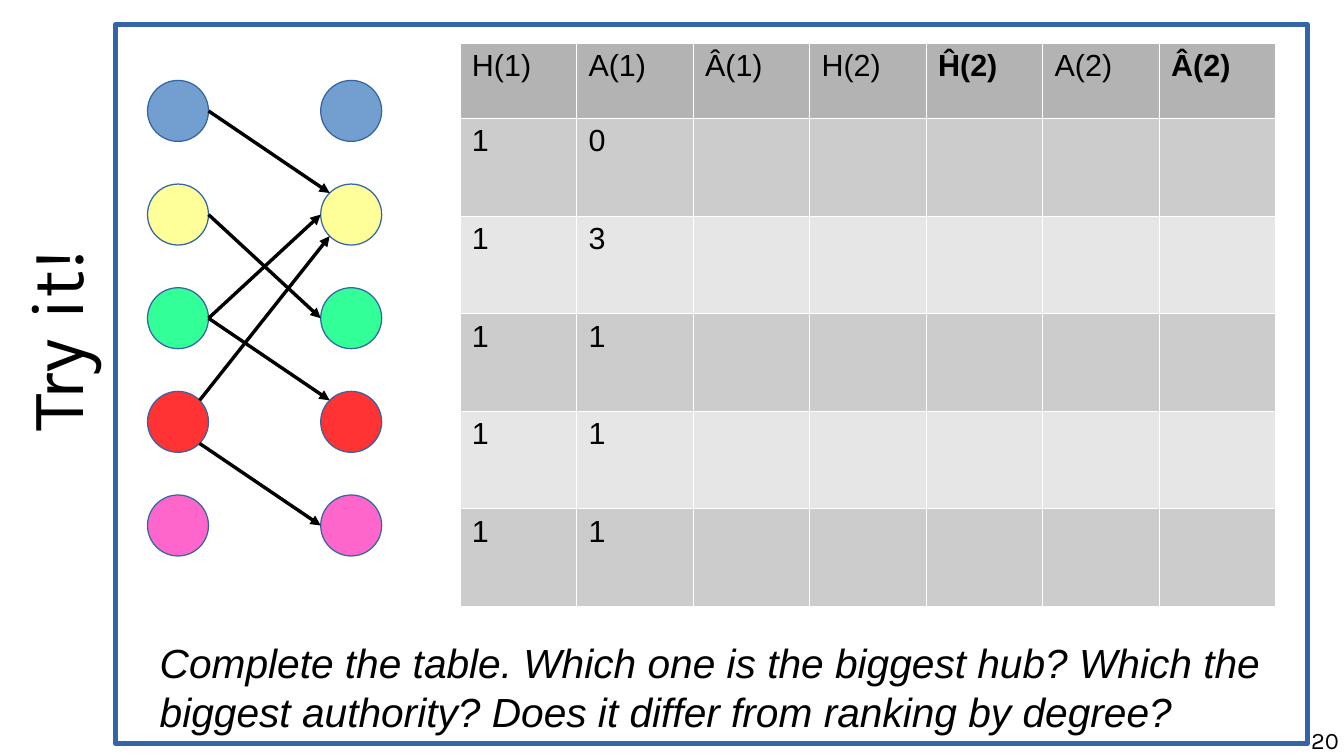
from math import cos, radians, sin

from lxml import etree
from pptx import Presentation
from pptx.dml.color import RGBColor
from pptx.enum.shapes import MSO_CONNECTOR, MSO_SHAPE
from pptx.enum.text import MSO_ANCHOR, PP_ALIGN
from pptx.oxml.ns import qn
from pptx.util import Inches, Pt

STRAIGHT = MSO_CONNECTOR.STRAIGHT
OVAL, RECTANGLE = MSO_SHAPE.OVAL, MSO_SHAPE.RECTANGLE
TOP, MIDDLE, BOTTOM = MSO_ANCHOR.TOP, MSO_ANCHOR.MIDDLE, MSO_ANCHOR.BOTTOM
LEFT, CENTER, RIGHT = PP_ALIGN.LEFT, PP_ALIGN.CENTER, PP_ALIGN.RIGHT

BLACK, WHITE, BLUE = "000000", "FFFFFF", "3465A4"
HEADER_FILL, BAND_FILLS = "B3B3B3", ("CCCCCC", "E6E6E6")

# Node grid: hubs in column 0, authorities in column 1
NODE_COLORS = ["729FCF", "FFFF99", "33FF99", "FF3333", "FF66CC"]
NODE_LEFT, NODE_TOP, NODE_SIZE = 1.21, 0.66, 0.5
COLUMN_STEP, ROW_STEP = 1.42, 0.85

# Links: hub row, angle on hub, authority row, angle on authority
# (degrees clockwise from the right)
LINKS = [
    (0, 0, 1, 225),
    (2, 0, 1, 180),
    (2, 0, 3, 225),
    (3, 45, 4, 180),
    (1, 0, 2, 180),
    (3, -45, 1, 135),
]

HEADERS = ["H(1)", "A(1)", "Â(1)", "H(2)", "Ĥ(2)", "A(2)", "Â(2)"]
BOLD_HEADERS = {"Ĥ(2)", "Â(2)"}
SCORES = [("1", "0"), ("1", "3"), ("1", "1"), ("1", "1"), ("1", "1")]
QUESTION = ("Complete the table. Which one is the biggest hub? Which the "
            "biggest authority? Does it differ from ranking by degree?")


def color(hex_code):
    return RGBColor.from_string(hex_code)


def box(left, top, width, height):
    return [Inches(length) for length in (left, top, width, height)]


def write(frame, text, size, font, align=LEFT, anchor=TOP, insets=(0, 0, 0, 0),
          italic=False):
    frame.word_wrap = True
    frame.vertical_anchor = anchor
    (frame.margin_left, frame.margin_top,
     frame.margin_right, frame.margin_bottom) = map(Inches, insets)
    frame.text = text
    paragraph = frame.paragraphs[0]
    paragraph.alignment = align
    style(paragraph.runs[0], size, font, italic=italic)


def style(run, size, font, bold=False, italic=False):
    run.font.size = Pt(size)
    run.font.name = font
    run.font.bold = bold
    run.font.italic = italic
    run.font.color.rgb = color(BLACK)


def add_label(slide, place, text, size, align, anchor=TOP, rotation=0):
    label = slide.shapes.add_textbox(*box(*place))
    label.rotation = rotation
    write(label.text_frame, text, size, "Karla", align, anchor)


def add_outlined(slide, kind, place, line_width, fill=None):
    shape = slide.shapes.add_shape(kind, *box(*place))
    shape.shadow.inherit = False
    if fill:
        shape.fill.solid()
        shape.fill.fore_color.rgb = color(fill)
    else:
        shape.fill.background()
    shape.line.color.rgb = color(BLUE)
    shape.line.width = Pt(line_width)
    return shape


def add_node(slide, column, row):
    place = (NODE_LEFT + column * COLUMN_STEP, NODE_TOP + row * ROW_STEP,
             NODE_SIZE, NODE_SIZE)
    add_outlined(slide, OVAL, place, 0, NODE_COLORS[row])


def rim_point(column, row, angle):
    radius = NODE_SIZE / 2
    x = NODE_LEFT + column * COLUMN_STEP + radius * (1 + cos(radians(angle)))
    y = NODE_TOP + row * ROW_STEP + radius * (1 + sin(radians(angle)))
    return Inches(x), Inches(y)


def add_link(slide, hub, hub_angle, authority, authority_angle):
    link = slide.shapes.add_connector(
        STRAIGHT, *rim_point(0, hub, hub_angle),
        *rim_point(1, authority, authority_angle))
    link.line.color.rgb = color(BLACK)
    link.line.width = Pt(0)
    etree.SubElement(link.line._get_or_add_ln(), qn("a:tailEnd"), type="triangle")
    etree.SubElement(link._element.spPr, qn("a:effectLst"))


def format_cell(cell, text, fill, bold):
    # Borders come before the fill in the cell properties
    properties = cell._tc.get_or_add_tcPr()
    for side in ("lnL", "lnR", "lnT", "lnB"):
        border = etree.SubElement(properties, qn(f"a:{side}"), w="762")
        solid = etree.SubElement(border, qn("a:solidFill"))
        etree.SubElement(solid, qn("a:srgbClr"), val=WHITE)
    cell.fill.solid()
    cell.fill.fore_color.rgb = color(fill)
    if text:
        cell.text = text
        style(cell.text_frame.paragraphs[0].runs[0], 18, "Arial", bold)


def add_score_table(slide):
    rows = [HEADERS] + [list(pair) + [""] * (len(HEADERS) - 2) for pair in SCORES]
    table = slide.shapes.add_table(
        len(rows), len(HEADERS), *box(3.77, 0.35, 6.69, 4.62)).table
    for column in table.columns:
        column.width = Inches(6.69 / len(HEADERS))
    for index, texts in enumerate(rows):
        table.rows[index].height = Inches(0.8 if index else 0.62)
        fill = BAND_FILLS[(index - 1) % 2] if index else HEADER_FILL
        for position, text in enumerate(texts):
            format_cell(table.cell(index, position), text, fill,
                        text in BOLD_HEADERS)


def main():
    presentation = Presentation()
    presentation.slide_width, presentation.slide_height = Inches(11.02), Inches(6.2)
    slide = presentation.slides.add_slide(presentation.slide_layouts[6])

    # Sideways title
    add_label(slide, (-1.36, 2.38, 3.6, 0.83), "Try it!", 44, CENTER, MIDDLE, 270)

    # Hub and authority graph
    for column in range(2):
        for row in range(len(NODE_COLORS)):
            add_node(slide, column, row)
    for link in LINKS:
        add_link(slide, *link)

    # Score table
    add_score_table(slide)

    # Frame with the question
    frame = add_outlined(slide, RECTANGLE, (0.95, 0.2, 9.77, 5.9), 2.89)
    write(frame.text_frame, QUESTION, 24, "Arial", anchor=BOTTOM,
          insets=(0.36, 0.07, 0.12, 0.07), italic=True)

    # Page number
    add_label(slide, (8.41, 5.95, 2.57, 0.25), "20", 14, RIGHT)

    presentation.save("out.pptx")


if __name__ == "__main__":
    main()
